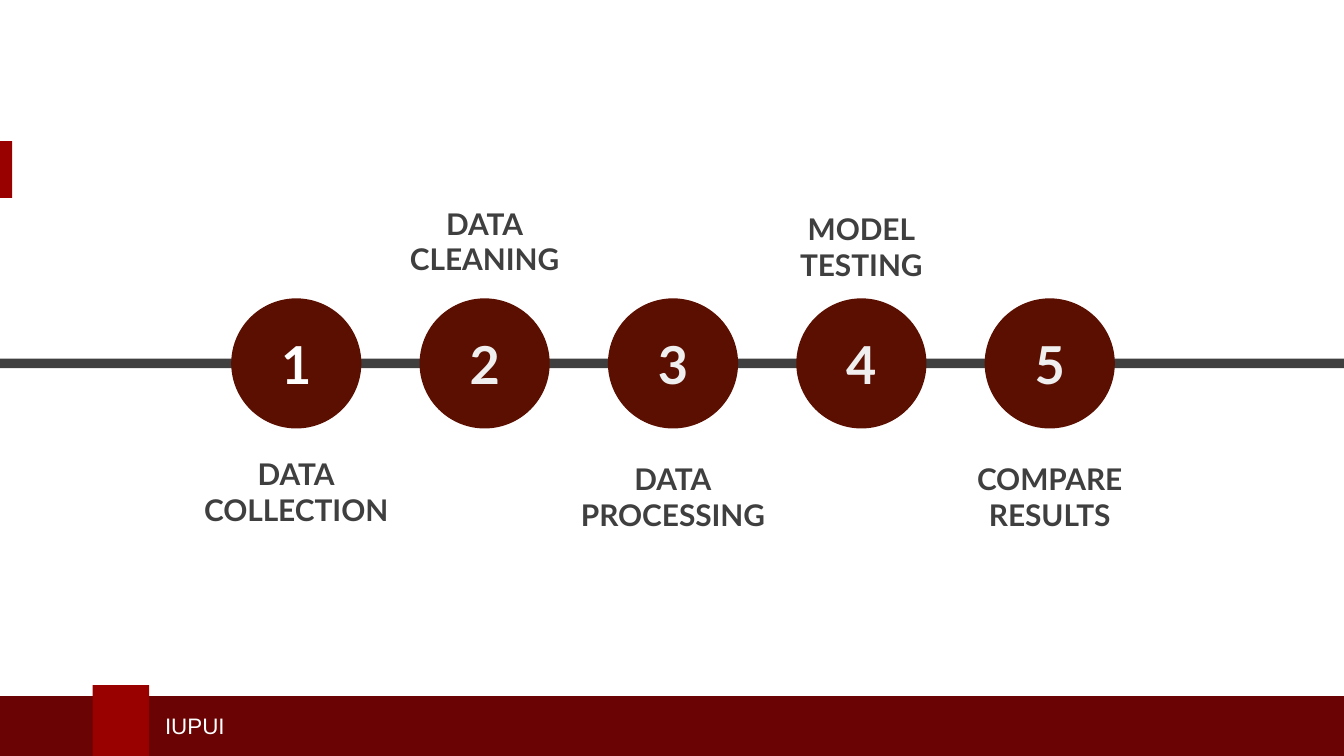
from dataclasses import dataclass

from pptx import Presentation
from pptx.dml.color import RGBColor
from pptx.enum.shapes import MSO_SHAPE as Shape
from pptx.enum.text import MSO_ANCHOR as Anchor, PP_ALIGN as Align
from pptx.util import Cm, Pt


@dataclass(frozen=True)
class Theme:
    accent: str = "990000"
    footer: str = "690304"
    circle: str = "5B0F00"
    dark: str = "3F3F3F"
    white: str = "FFFFFF"
    pale: str = "EFEFEF"
    heading_font: str = "Lato"
    footer_font: str = "Arial"
    number_size: int = 28
    label_size: int = 16
    footer_size: int = 12


THEME = Theme()
SLIDE_W, SLIDE_H = 25.4, 14.29
DIAMETER = 2.46
FIRST_CENTER, PITCH = 5.6, 3.56
AXIS = 6.87
STEPS = [
    ("DATA\nCOLLECTION", 8.36, 5.41),
    ("DATA\nCLEANING", 3.63, 5.41),
    ("DATA\nPROCESSING", 8.46, 6.12),
    ("MODEL\nTESTING", 3.73, 5.41),
    ("COMPARE\nRESULTS", 8.46, 6.12),
]


def write(sp, text, *, size, color, font=THEME.heading_font, bold=True,
          align=Align.CENTER, anchor=Anchor.TOP, inset=(0.25, 0.25)):
    tf = sp.text_frame
    tf.word_wrap = True
    tf.vertical_anchor = anchor
    tf.margin_left = tf.margin_right = Cm(inset[0])
    tf.margin_top = tf.margin_bottom = Cm(inset[1])
    tf.text = text
    for p in tf.paragraphs:
        p.alignment = align
        for r in p.runs:
            r.font.name = font
            r.font.size = Pt(size)
            r.font.bold = bold
            r.font.color.rgb = RGBColor.from_string(color)


def add_block(s, left, top, width, height, color, kind=Shape.RECTANGLE):
    sp = s.shapes.add_shape(kind, Cm(left), Cm(top), Cm(width), Cm(height))
    sp.shadow.inherit = False
    sp.fill.solid()
    sp.fill.fore_color.rgb = RGBColor.from_string(color)
    sp.line.fill.background()
    return sp


def add_text(s, text, left, top, width, height, **style):
    sp = s.shapes.add_textbox(Cm(left), Cm(top), Cm(width), Cm(height))
    write(sp, text, **style)


def add_frame(s):
    add_block(s, 0, 2.67, 0.23, 1.07, THEME.accent)
    add_block(s, -0.08, 13.16, 25.63, 1.27, THEME.footer)
    add_block(s, 1.75, 12.95, 1.07, 1.47, THEME.accent)
    add_text(s, "IUPUI", 2.87, 13.34, 10.03, 0.76, size=THEME.footer_size,
             color=THEME.white, font=THEME.footer_font, bold=False,
             align=Align.LEFT, anchor=Anchor.MIDDLE, inset=(0.25, 0.13))


def add_step(s, index, label, top, width):
    center = FIRST_CENTER + index * PITCH
    sp = add_block(s, center - DIAMETER / 2, AXIS - DIAMETER / 2,
                   DIAMETER, DIAMETER, THEME.circle, Shape.OVAL)
    write(sp, str(index + 1), size=THEME.number_size,
          color=THEME.pale if index else THEME.white, anchor=Anchor.MIDDLE)
    add_text(s, label, center - width / 2, top, width, 1.75,
             size=THEME.label_size, color=THEME.dark)


def main():
    prs = Presentation()
    prs.slide_width, prs.slide_height = Cm(SLIDE_W), Cm(SLIDE_H)
    s = prs.slides.add_slide(prs.slide_layouts[6])
    add_frame(s)
    add_block(s, 0, AXIS - 0.09, SLIDE_W, 0.18, THEME.dark)
    for index, step in enumerate(STEPS):
        add_step(s, index, *step)
    prs.save("out.pptx")


if __name__ == "__main__":
    main()
